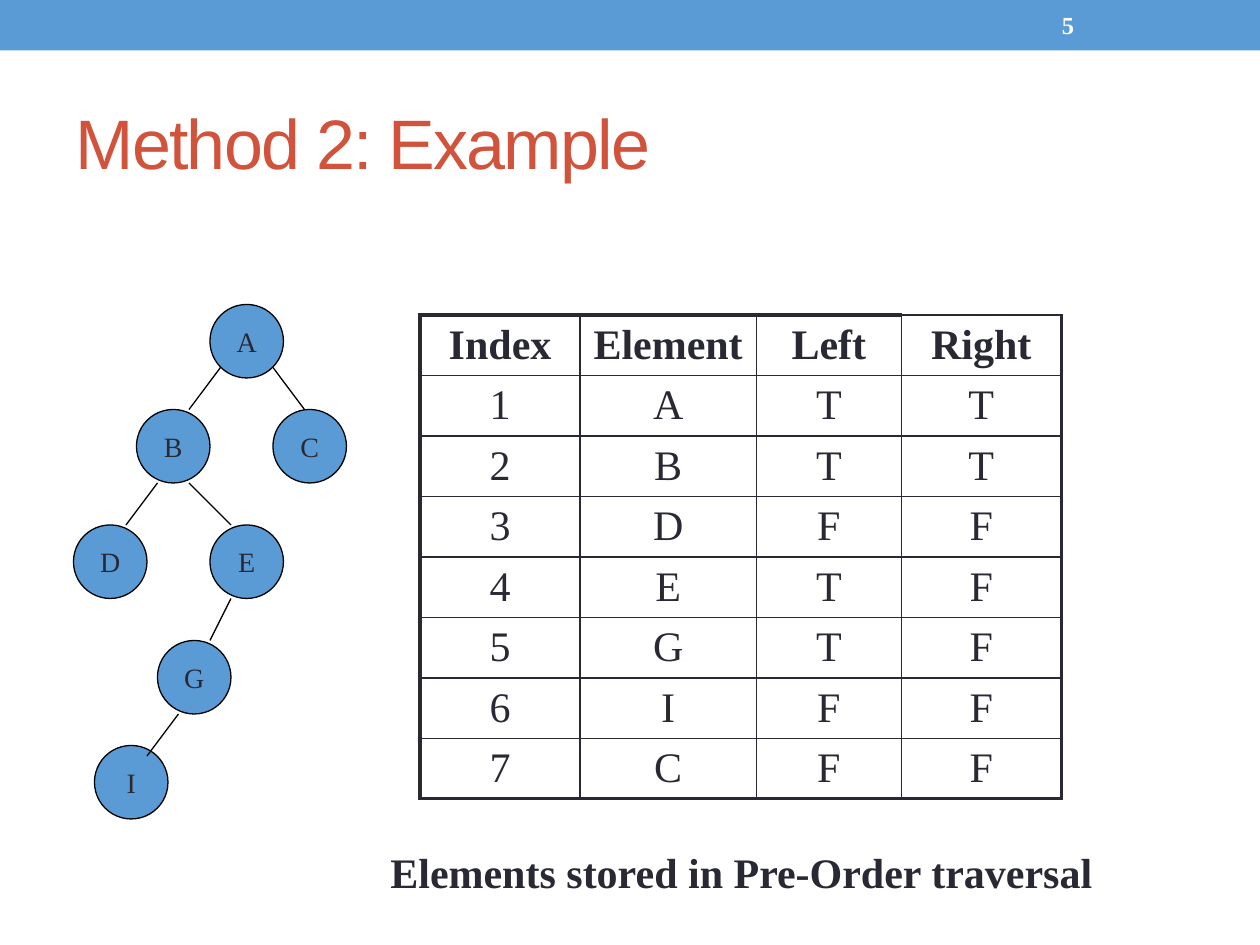
from dataclasses import dataclass
from typing import NamedTuple

from lxml.etree import SubElement
from pptx import Presentation
from pptx.dml.color import RGBColor as Rgb
from pptx.enum.shapes import MSO_CONNECTOR as Link, MSO_SHAPE as Kind
from pptx.enum.text import MSO_ANCHOR as Anchor, MSO_AUTO_SIZE as Fit, PP_ALIGN as Align
from pptx.oxml.ns import qn
from pptx.util import Inches, Length, Pt


@dataclass(frozen=True)
class Theme:
    blue: str = "5B9BD5"
    red: str = "D2533C"
    ink: str = "292934"
    black: str = "000000"
    white: str = "FFFFFF"
    sans: str = "Arial"
    serif: str = "Times New Roman"
    title: int = 40
    body: int = 24
    node: int = 16
    page: int = 14
    thin: float = 0.96
    thick: float = 2.21
    edge: float = 0.75


class Node(NamedTuple):
    name: str
    col: int
    row: int


class Edge(NamedTuple):
    x1: int
    y1: int
    x2: int
    y2: int


T = Theme()
SIZE = 7  # node diameter in grid steps
NODES = [Node("A", 20, 29), Node("D", 7, 50), Node("B", 13, 39), Node("C", 26, 39),
         Node("E", 20, 50), Node("G", 15, 61), Node("I", 9, 71)]
EDGES = [Edge(21, 35, 18, 39), Edge(26, 35, 29, 39), Edge(15, 46, 12, 50),
         Edge(18, 46, 22, 50), Edge(22, 57, 20, 61), Edge(17, 68, 14, 72)]
HEAD = ["Index", "Element", "Left", "Right"]
ROWS = ["ATT", "BTT", "DFF", "ETF", "GTF", "IFF", "CFF"]
WIDTHS = [1.27, 1.4, 1.15, 1.27]
ROW = 0.47


def grid(steps: float) -> Length:
    """Twelve grid steps make an inch."""
    return Inches(steps / 12)


def write(frame, text: str, *, size: int, color: str = T.ink, font: str = T.serif,
          bold: bool = False, align=Align.LEFT, anchor=Anchor.MIDDLE,
          wrap: bool = True, track: int = 0) -> None:
    frame.word_wrap = wrap
    frame.vertical_anchor = anchor
    para = frame.paragraphs[0]
    para.alignment = align
    run = para.add_run()
    run.text = text
    run.font.name, run.font.size, run.font.bold = font, Pt(size), bold
    run.font.color.rgb = Rgb.from_string(color)
    if track:
        run.font._element.set("spc", str(track))


def shape(slide, kind, box: tuple, line: str = ""):
    item = slide.shapes.add_shape(kind, *box)
    item.shadow.inherit = False
    item.fill.solid()
    item.fill.fore_color.rgb = Rgb.from_string(T.blue)
    if line:
        item.line.color.rgb = Rgb.from_string(line)
        item.line.width = Pt(T.edge)
    else:
        item.line.fill.background()
    return item


def draw_node(slide, node: Node) -> None:
    box = tuple(map(grid, (node.col, node.row, SIZE, SIZE)))
    item = shape(slide, Kind.OVAL, box, T.black)
    write(item.text_frame, node.name, size=T.node, align=Align.CENTER, wrap=False)


def draw_edge(slide, edge: Edge) -> None:
    line = slide.shapes.add_connector(Link.STRAIGHT, *map(grid, edge))
    line.line.color.rgb = Rgb.from_string(T.black)
    line.line.width = Pt(T.edge)
    SubElement(line._element.spPr, qn("a:effectLst"))


def border(cell, sides: dict[str, float]) -> None:
    """Set side widths in points; borders must come before the cell's fill."""
    props = cell._tc.get_or_add_tcPr()
    for side, width in sides.items():
        line = SubElement(props, qn(f"a:ln{side}"), w=str(Pt(width)))
        fill = SubElement(line, qn("a:solidFill"))
        SubElement(fill, qn("a:srgbClr"), val=T.ink)


def draw_table(slide) -> None:
    data = [HEAD] + [[str(n), *row] for n, row in enumerate(ROWS, 1)]
    table = slide.shapes.add_table(len(data), len(HEAD), grid(40), grid(30),
                                   Inches(sum(WIDTHS)), Inches(ROW * len(data))).table
    table.first_row = table.horz_banding = False
    for col, width in zip(table.columns, WIDTHS):
        col.width = Inches(width)
    last_row, last_col = len(data) - 1, len(HEAD) - 1
    for r, texts in enumerate(data):
        table.rows[r].height = Inches(ROW)
        for c, text in enumerate(texts):
            cell = table.cell(r, c)
            heavy = {"L": c == 0, "R": c == last_col,
                     "T": r == 0 and c < last_col, "B": r == last_row}
            border(cell, {s: T.thick if on else T.thin for s, on in heavy.items()})
            cell.fill.background()
            cell.margin_top = cell.margin_bottom = Inches(0.04)
            cell.vertical_anchor = Anchor.MIDDLE
            write(cell.text_frame, text, size=T.body, bold=r == 0, align=Align.CENTER)


def add_text(slide, box: tuple, text: str, **style) -> None:
    item = slide.shapes.add_textbox(*map(Inches, box))
    write(item.text_frame, text, **style)


def main() -> None:
    deck = Presentation()
    deck.slide_width, deck.slide_height = Inches(10), Inches(7.5)
    slide = deck.slides.add_slide(deck.slide_layouts[5])

    shape(slide, Kind.RECTANGLE, (0, 0, deck.slide_width, Inches(0.4)))
    title = slide.shapes.title
    title.left, title.top, title.width, title.height = map(Inches, (0.5, 0.58, 9, 1.08))
    title.text_frame.auto_size = Fit.NONE
    write(title.text_frame, "Method 2: Example", size=T.title, color=T.red,
          font=T.sans, track=-100)
    add_text(slide, (8.33, 0.02, 1.17, 0.36), "5", size=T.page, color=T.white, bold=True)

    for node in NODES:
        draw_node(slide, node)
    for edge in EDGES:
        draw_edge(slide, edge)
    draw_table(slide)
    add_text(slide, (3, 6.67, 5.78, 0.5), "Elements stored in Pre-Order traversal",
             size=T.body, bold=True, anchor=Anchor.TOP, wrap=False)
    deck.save("out.pptx")


if __name__ == "__main__":
    main()
